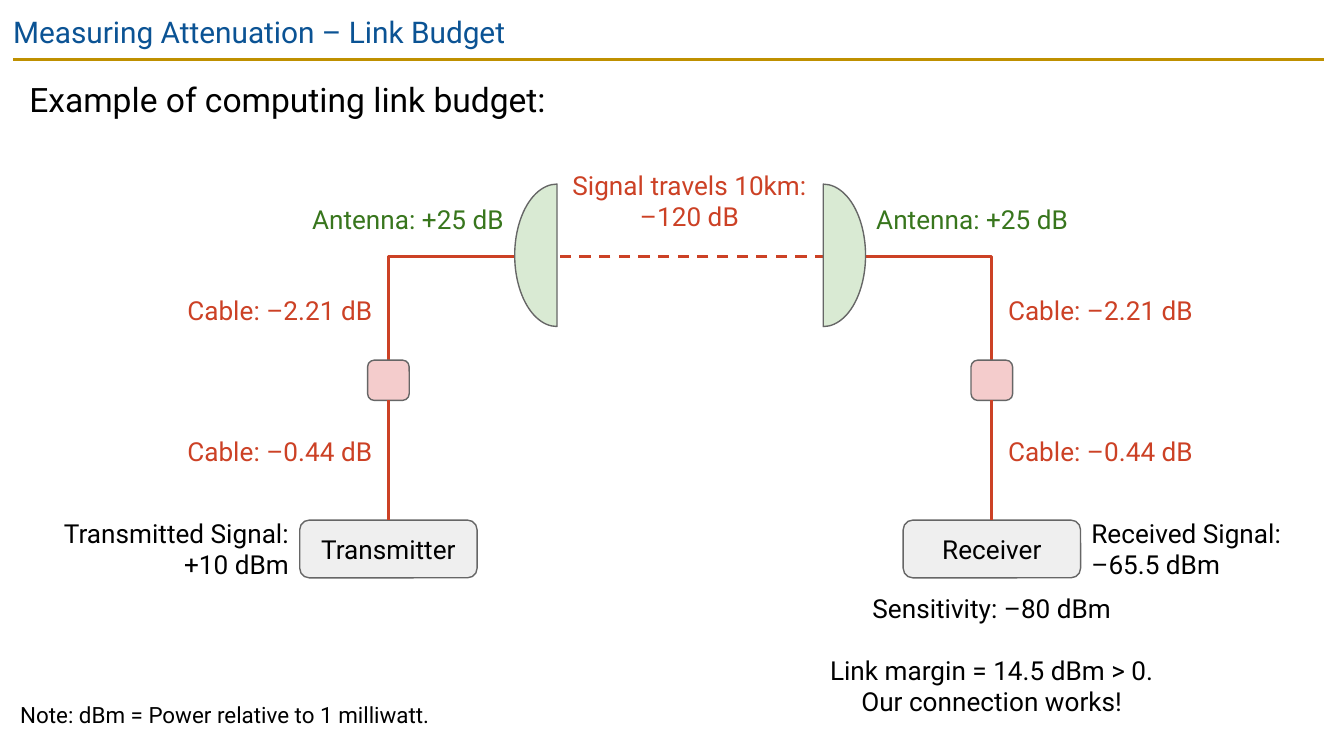
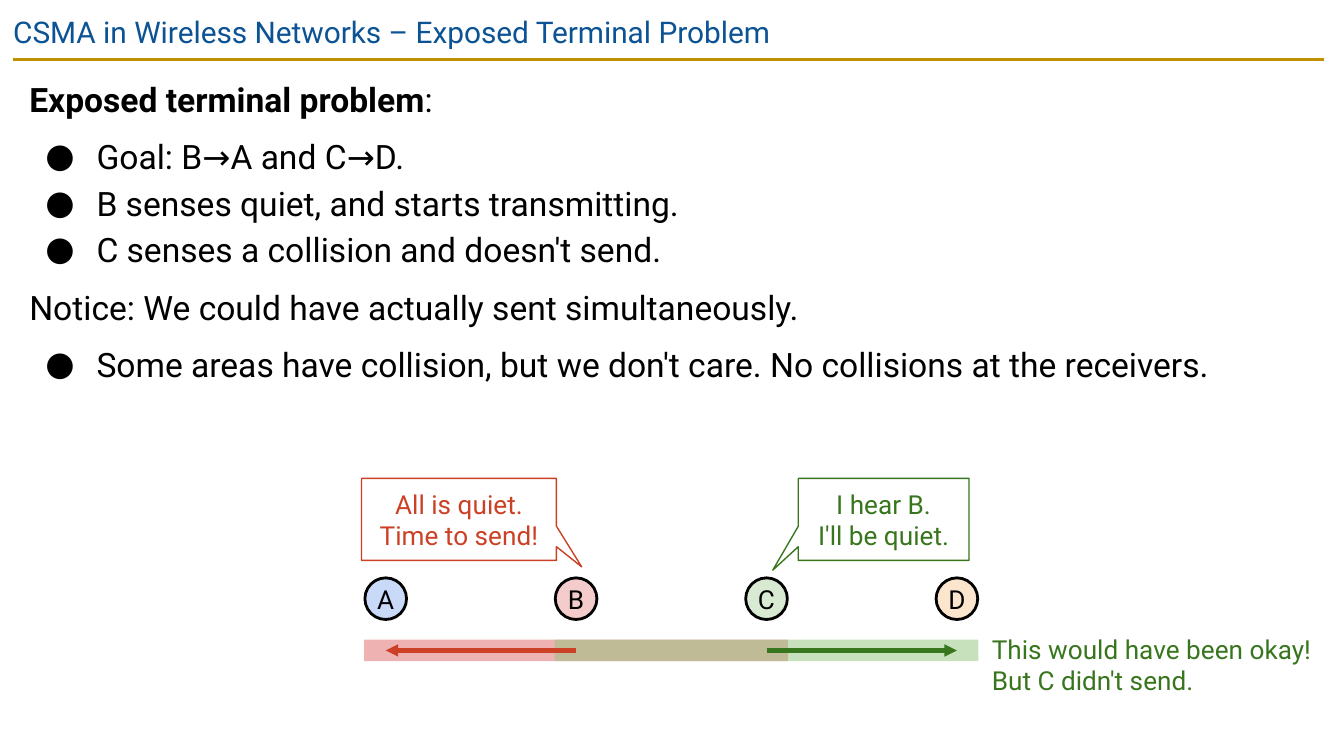
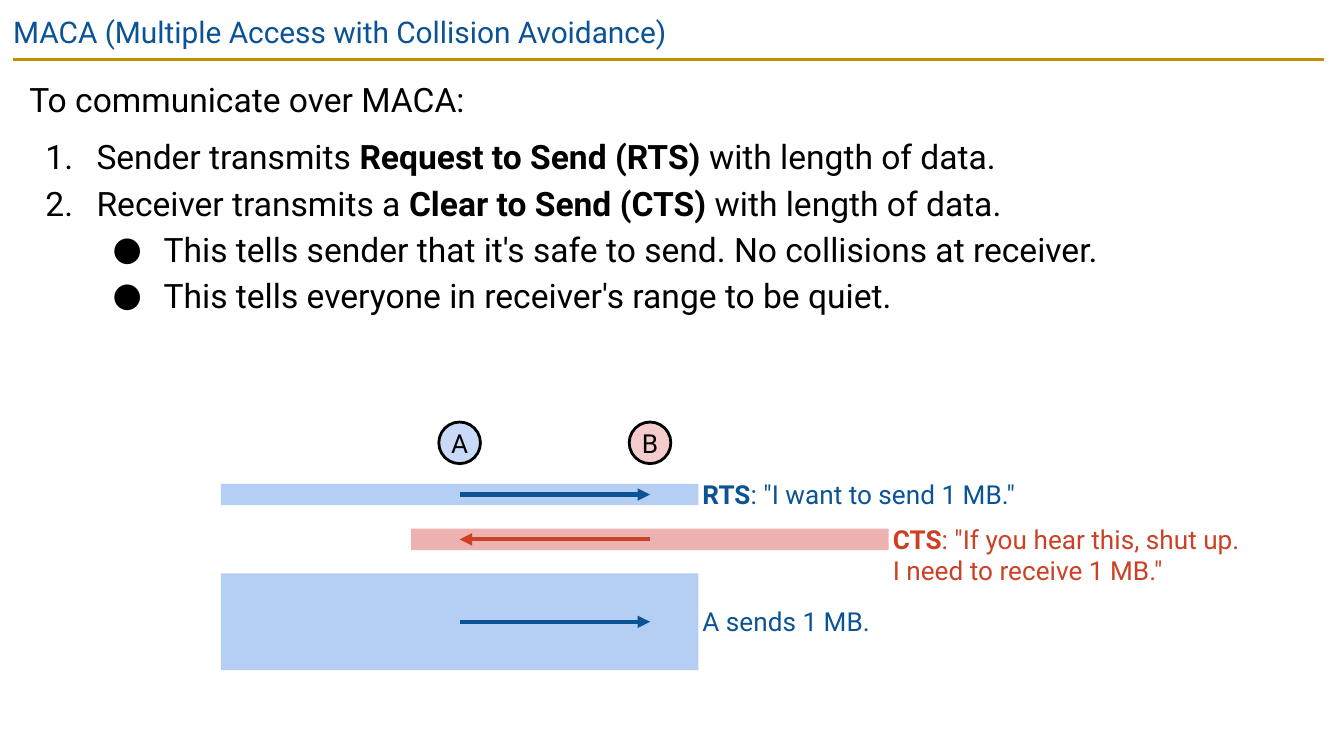
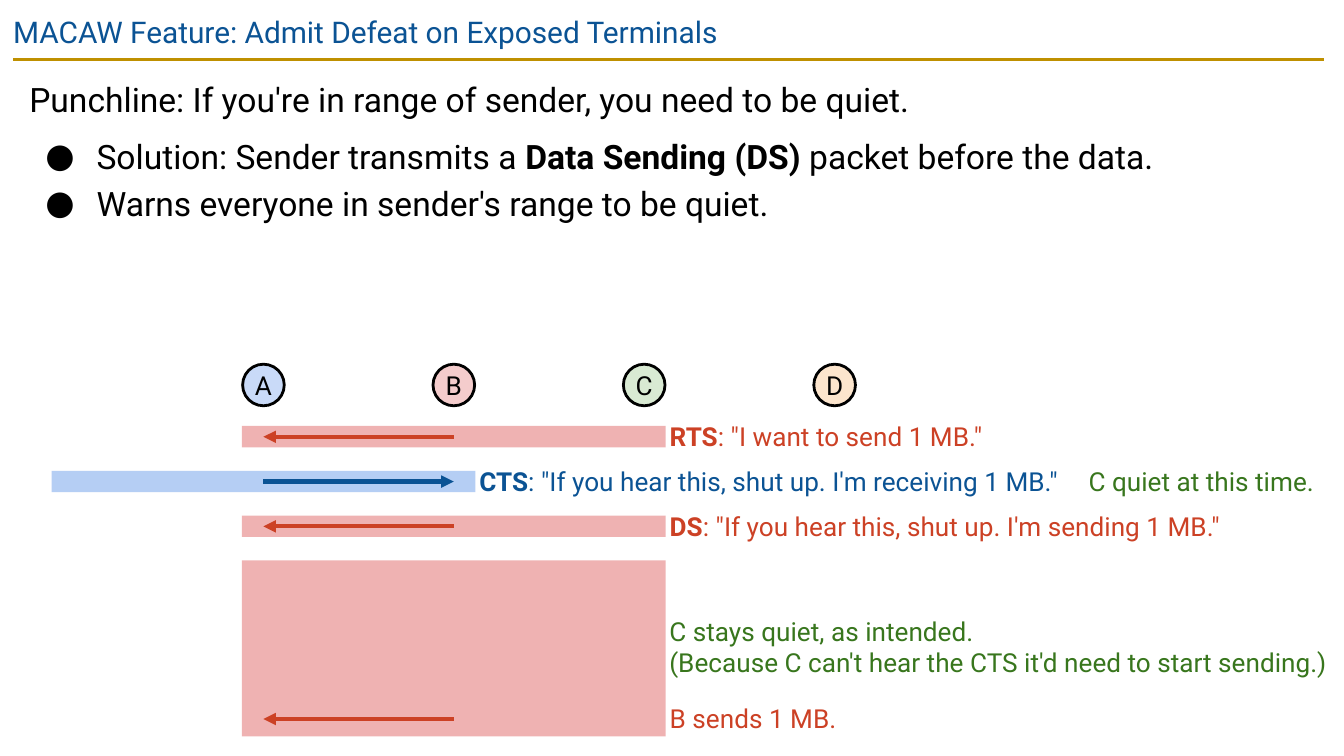
from copy import deepcopy

from lxml.etree import SubElement
from pptx import Presentation
from pptx.dml.color import RGBColor
from pptx.enum.dml import MSO_LINE
from pptx.enum.shapes import MSO_CONNECTOR, MSO_SHAPE
from pptx.enum.text import MSO_ANCHOR, PP_ALIGN
from pptx.oxml.ns import qn
from pptx.util import Inches, Pt

FONT = "Roboto"
SLIDE_WIDTH = 10
SLIDE_HEIGHT = SLIDE_WIDTH * 9 / 16

BLACK = RGBColor(0x00, 0x00, 0x00)
WHITE = RGBColor(0xFF, 0xFF, 0xFF)
GOLD = RGBColor(0xBF, 0x90, 0x00)
BLUE = RGBColor(0x0B, 0x53, 0x94)
RED = RGBColor(0xCC, 0x41, 0x25)
GREEN = RGBColor(0x38, 0x76, 0x1D)
GRAY = RGBColor(0x66, 0x66, 0x66)
PALE_GRAY = RGBColor(0xEF, 0xEF, 0xEF)
PALE_BLUE = RGBColor(0xC9, 0xDA, 0xF8)
PALE_RED = RGBColor(0xF4, 0xCC, 0xCC)
PALE_GREEN = RGBColor(0xD9, 0xEA, 0xD3)
PALE_ORANGE = RGBColor(0xFC, 0xE5, 0xCD)
BAND_BLUE = RGBColor(0x6D, 0x9E, 0xEB)
BAND_RED = RGBColor(0xE0, 0x66, 0x66)
BAND_GREEN = RGBColor(0x93, 0xC4, 0x7D)

STATION_FILLS = {"A": PALE_BLUE, "B": PALE_RED, "C": PALE_GREEN, "D": PALE_ORANGE}
STATION_SIZE = 0.31
STATION_PITCH = 4.25 / 3
BAND_OFFSET = 0.46
BAND_HEIGHT = 0.16
BAND_PITCH = 1 / 3
LINE_HEIGHT = 0.3
TWO_LINES = 0.53
LINK_SPAN = 10.27
CABLE_TOP = 1.91


def box(left, top, width, height):
    return [Inches(length) for length in (left, top, width, height)]


def add_runs(paragraph, text, size=14, color=BLACK):
    for index, part in enumerate(text.split("**")):
        for line_index, line in enumerate(part.split("\v")):
            if line_index:
                line_break = paragraph._p.add_br()
                line_break.append(deepcopy(paragraph.runs[-1]._r.rPr))
            if line:
                run = paragraph.add_run()
                run.text = line
                run.font.name = FONT
                run.font.size = Pt(size)
                run.font.bold = index % 2 == 1
                run.font.color.rgb = color


def write(shape, text, alignment=PP_ALIGN.LEFT, anchor=MSO_ANCHOR.TOP, inset=0.03, **font):
    frame = shape.text_frame
    frame.word_wrap = True
    frame.vertical_anchor = anchor
    frame.margin_left = frame.margin_right = Inches(inset)
    frame.margin_top = frame.margin_bottom = Inches(inset)
    for index, line in enumerate(text.split("\n")):
        paragraph = frame.add_paragraph() if index else frame.paragraphs[0]
        paragraph.alignment = alignment
        add_runs(paragraph, line, **font)


def add_label(slide, text, left, top, width, height=LINE_HEIGHT, **style):
    write(slide.shapes.add_textbox(*box(left, top, width, height)), text, **style)


def add_shape(slide, kind, frame, fill, line=None, line_width=0.75, adjustments=(), text=None, **style):
    shape = slide.shapes.add_shape(kind, *box(*frame))
    shape.shadow.inherit = False
    shape.fill.solid()
    shape.fill.fore_color.rgb = fill
    if line is None:
        shape.line.fill.background()
    else:
        shape.line.color.rgb = line
        shape.line.width = Pt(line_width)
    for index, value in enumerate(adjustments):
        shape.adjustments[index] = value
    if text:
        write(shape, text, alignment=PP_ALIGN.CENTER, anchor=MSO_ANCHOR.MIDDLE, **style)
    return shape


def add_line(slide, start, end, color, width=1.5, dash=None, arrow=False):
    ends = [Inches(length) for length in (*start, *end)]
    connector = slide.shapes.add_connector(MSO_CONNECTOR.STRAIGHT, *ends)
    connector.line.color.rgb = color
    connector.line.width = Pt(width)
    if dash:
        connector.line.dash_style = dash
    properties = connector.element.spPr
    if arrow:
        SubElement(properties.find(qn("a:ln")), qn("a:tailEnd"), type="triangle")
    SubElement(properties, qn("a:effectLst"))
    return connector


def add_body(slide, height, items):
    shape = slide.shapes.add_textbox(*box(0.12, 0.44, 9.74, height))
    write(shape, "", inset=0.1)
    frame = shape.text_frame
    previous = "plain"
    for index, (kind, text) in enumerate(items):
        paragraph = frame.add_paragraph() if index else frame.paragraphs[0]
        paragraph.line_spacing = 1.15
        paragraph.space_before = Pt(6 if "plain" in (kind, previous) else 0)
        add_runs(paragraph, text, size=18)
        if kind != "plain":
            paragraph.level = 1 if kind == "sub" else 0
            properties = paragraph._p.get_or_add_pPr()
            properties.set("marL", str(Inches(0.5 * (paragraph.level + 1))))
            properties.set("indent", str(Inches(-0.38)))
            SubElement(properties, qn("a:buFont"), typeface=FONT)
            if kind == "number":
                SubElement(properties, qn("a:buAutoNum"), type="arabicPeriod")
            else:
                SubElement(properties, qn("a:buChar"), char="●")
        previous = kind


def add_slide(presentation, title, body_height, items):
    slide = presentation.slides.add_slide(presentation.slide_layouts[6])
    add_line(slide, (0.1, 0.44), (9.85, 0.44), GOLD)
    add_label(slide, title, 0, 0, SLIDE_WIDTH, 0.43, inset=0.1, size=16, color=BLUE)
    add_body(slide, body_height, items)
    return slide


class StationDiagram:
    def __init__(self, slide, first_center, top, names, margin=0.16):
        self.slide = slide
        self.first_center = first_center
        self.top = top
        self.margin = margin
        for column, name in enumerate(names):
            left = self.center(column) - STATION_SIZE / 2
            add_shape(slide, MSO_SHAPE.OVAL, (left, top, STATION_SIZE, STATION_SIZE),
                      STATION_FILLS[name], BLACK, 1.5, text=name, inset=0)

    def center(self, column):
        return self.first_center + column * STATION_PITCH

    def row_top(self, row):
        return self.top + BAND_OFFSET + row * BAND_PITCH

    def right_edge(self, column):
        return self.center(column) + self.margin

    def add_band(self, row, first, last, fill, height=BAND_HEIGHT):
        left = self.center(first) - self.margin
        frame = (left, self.row_top(row), self.right_edge(last) - left, height)
        band = add_shape(self.slide, MSO_SHAPE.RECTANGLE, frame, fill)
        color = band.element.spPr.find(qn("a:solidFill"))[0]
        SubElement(color, qn("a:alpha"), val="50000")

    def add_arrow(self, row, source, target, color, drop=BAND_HEIGHT / 2):
        middle = self.row_top(row) + drop
        add_line(self.slide, (self.center(source), middle), (self.center(target), middle),
                 color, 2.25, arrow=True)

    def add_message(self, row, source, target, text, text_width, text_height=LINE_HEIGHT,
                    height=BAND_HEIGHT, drop=None):
        drop = drop or height / 2
        fill, color = (BAND_BLUE, BLUE) if source < target else (BAND_RED, RED)
        last = source + 1
        self.add_band(row, source - 1, last, fill, height)
        self.add_arrow(row, source, target, color, drop)
        add_label(self.slide, text, self.right_edge(last), self.row_top(row) + drop - 0.15,
                  text_width, text_height, color=color)


def add_link_end(slide, name, signal, signal_width, mirrored):
    def across(left, width=0):
        return LINK_SPAN - left - width if mirrored else left

    def add_side_label(text, right, top, width, height=LINE_HEIGHT, color=BLACK):
        add_label(slide, text, across(right - width, width), top, width, height,
                  alignment=PP_ALIGN.LEFT if mirrored else PP_ALIGN.RIGHT, color=color)

    def add_block(top, width, height, fill, **content):
        frame = (across(cable_x) - width / 2, top, width, height)
        return add_shape(slide, MSO_SHAPE.ROUNDED_RECTANGLE, frame, fill, GRAY, **content)

    cable_x, coupler_top, terminal_top = 2.89, 2.68, 3.87
    builder = slide.shapes.build_freeform(Inches(across(cable_x)), Inches(coupler_top))
    builder.add_line_segments(
        [(Inches(across(x)), Inches(CABLE_TOP)) for x in (cable_x, 3.83)], close=False)
    cable = builder.convert_to_shape()
    cable.shadow.inherit = False
    cable.fill.background()
    cable.line.color.rgb = RED
    cable.line.width = Pt(1.5)

    terminal = add_block(terminal_top, 1.32, 0.43, PALE_GRAY, text=name, inset=0.1)
    coupler = add_block(coupler_top, 0.31, 0.3, PALE_RED)
    lower_cable = add_line(slide, (across(cable_x), coupler_top + 0.3),
                           (across(cable_x), terminal_top), RED)
    lower_cable.begin_connect(coupler, 2)
    lower_cable.end_connect(terminal, 0)
    antenna = add_shape(slide, MSO_SHAPE.PIE, (across(3.83, 0.63), 1.37, 0.63, 1.06),
                        PALE_GREEN, GRAY, adjustments=(54, 162))
    antenna.rotation = 180 if mirrored else 0

    add_side_label("Antenna: +25 dB", 3.78, 1.48, 1.54, color=GREEN)
    add_side_label("Cable: –2.21 dB", 2.8, 2.16, 1.48, color=RED)
    add_side_label("Cable: –0.44 dB", 2.8, 3.21, 1.48, color=RED)
    add_side_label(signal, 2.18, 3.82, signal_width, TWO_LINES)


def add_link_budget(presentation):
    slide = add_slide(presentation, "Measuring Attenuation – Link Budget", 0.64,
                      [("plain", "Example of computing link budget:")])
    add_line(slide, (6.44, CABLE_TOP), (3.83, CABLE_TOP), RED, dash=MSO_LINE.DASH)
    add_link_end(slide, "Transmitter", "Transmitted Signal:\v+10 dBm", 1.78, False)
    add_link_end(slide, "Receiver", "Received Signal: –65.5 dBm", 1.48, True)
    center = PP_ALIGN.CENTER
    add_label(slide, "Signal travels 10km: –120 dB", 4.17, 1.23, 1.92, TWO_LINES,
              alignment=center, color=RED)
    add_label(slide, "Sensitivity: –80 dBm", 6.42, 4.38, 1.92, alignment=center)
    add_label(slide, "Link margin = 14.5 dBm > 0.\vOur connection works!",
              5.93, 4.84, 2.9, TWO_LINES, alignment=center)
    add_label(slide, "Note: dBm = Power relative to 1 milliwatt.", 0.12, 5.19, 3.19, 0.26, size=12)


def add_callout(slide, text, left, width, tip, color):
    add_shape(slide, MSO_SHAPE.ROUNDED_RECTANGULAR_CALLOUT, (left, 3.56, width, 0.61),
              WHITE, color, adjustments=(*tip, 0), text=text, inset=0.1, color=color)


def add_exposed_terminal(presentation):
    slide = add_slide(presentation, "CSMA in Wireless Networks – Exposed Terminal Problem", 2.59, [
        ("plain", "**Exposed terminal problem**:"),
        ("bullet", "Goal: B→A and C→D."),
        ("bullet", "B senses quiet, and starts transmitting."),
        ("bullet", "C senses a collision and doesn't send."),
        ("plain", "Notice: We could have actually sent simultaneously."),
        ("bullet", "Some areas have collision, but we don't care. No collisions at the receivers."),
    ])
    diagram = StationDiagram(slide, 2.87, 4.3, "ABCD")
    diagram.add_band(0, 0, 2, BAND_RED)
    add_callout(slide, "All is quiet.\vTime to send!", 2.69, 1.45, (0.63, 0.58), RED)
    diagram.add_band(0, 1, 3, BAND_GREEN)
    add_callout(slide, "I hear B.\nI'll be quiet.", 5.94, 1.27, (-0.65, 0.62), GREEN)
    add_label(slide, "This would have been okay!\vBut C didn't send.",
              7.35, 4.68, 2.51, TWO_LINES, color=GREEN)
    diagram.add_arrow(0, 1, 0, RED)
    diagram.add_arrow(0, 2, 3, GREEN)


def add_maca(presentation):
    slide = add_slide(presentation, "MACA (Multiple Access with Collision Avoidance)", 2.04, [
        ("plain", "To communicate over MACA:"),
        ("number", "Sender transmits **Request to Send (RTS)** with length of data."),
        ("number", "Receiver transmits a **Clear to Send (CTS) **with length of data."),
        ("sub", "This tells sender that it's safe to send. No collisions at receiver."),
        ("sub", "This tells everyone in receiver's range to be quiet."),
    ])
    diagram = StationDiagram(slide, 3.42, 3.14, "AB", margin=0.36)
    diagram.add_message(0, 0, 1, '**RTS**: "I want to send 1 MB."', 2.76)
    diagram.add_message(1, 1, 0, '**CTS**: "If you hear this, shut up.\vI need to receive 1 MB."',
                        2.76, TWO_LINES)
    diagram.add_message(2, 0, 1, "A sends 1 MB.", 2.67, height=0.72)


def add_macaw(presentation):
    slide = add_slide(presentation, "MACAW Feature: Admit Defeat on Exposed Terminals", 1.52, [
        ("plain", "Punchline: If you're in range of sender, you need to be quiet."),
        ("bullet", "Solution: Sender transmits a **Data Sending (DS)** packet before the data."),
        ("bullet", "Warns everyone in sender's range to be quiet."),
    ])
    diagram = StationDiagram(slide, 1.96, 2.71, "ABCD")
    diagram.add_message(0, 1, 0, '**RTS**: "I want to send 1 MB."', 2.76)
    diagram.add_message(1, 0, 1, '**CTS**: "If you hear this, shut up. I\'m receiving 1 MB."', 4.41)
    diagram.add_message(2, 1, 0, '**DS**: "If you hear this, shut up. I\'m sending 1 MB."', 4.2)
    diagram.add_message(3, 1, 0, "B sends 1 MB.", 1.34, height=1.31, drop=1.18)
    add_label(slide, "C quiet at this time.", 8.07, 3.43, 1.77, color=GREEN)
    add_label(slide, "C stays quiet, as intended.\n"
              "(Because C can't hear the CTS it'd need to start sending.)",
              4.95, 4.55, 4.99, TWO_LINES, color=GREEN)


def main():
    presentation = Presentation()
    presentation.slide_width = Inches(SLIDE_WIDTH)
    presentation.slide_height = Inches(SLIDE_HEIGHT)
    add_link_budget(presentation)
    add_exposed_terminal(presentation)
    add_maca(presentation)
    add_macaw(presentation)
    presentation.save("out.pptx")


if __name__ == "__main__":
    main()
